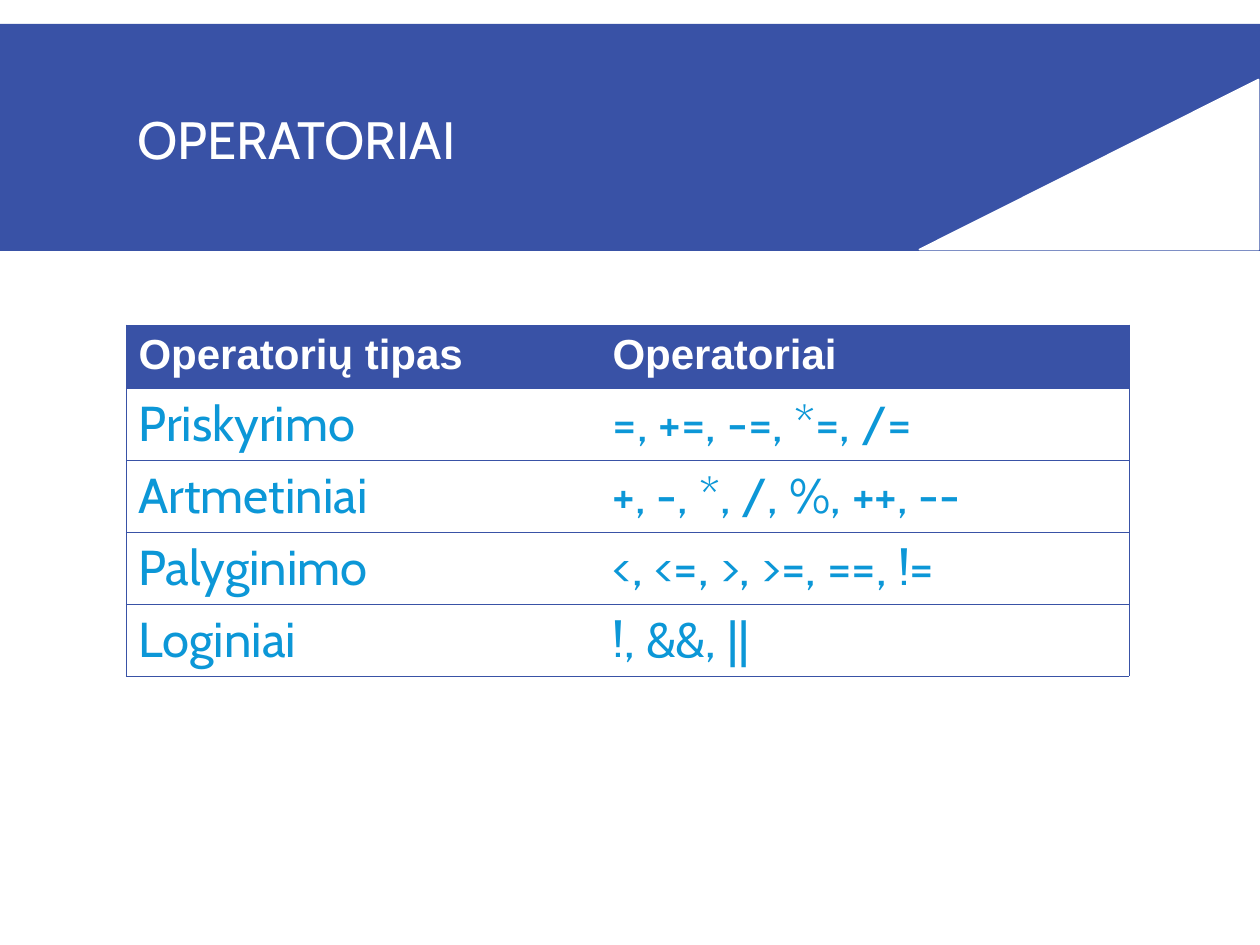
from lxml.etree import SubElement
from pptx import Presentation
from pptx.dml.color import RGBColor
from pptx.enum.shapes import MSO_SHAPE
from pptx.enum.text import MSO_ANCHOR
from pptx.oxml.ns import qn
from pptx.util import Emu, Pt

PX = 914400 // 126
INDIGO = RGBColor(0x39, 0x52, 0xA6)
SKY = RGBColor(0x0C, 0x97, 0xD7)
WHITE = RGBColor(0xFF, 0xFF, 0xFF)

OPERATORS = [
    ("Operatorių tipas", "Operatoriai"),
    ("Priskyrimo", "=, +=, -=, *=, /="),
    ("Artmetiniai", "+, -, *, /, %, ++, --"),
    ("Palyginimo", "<, <=, >, >=, ==, !="),
    ("Loginiai", "!, &&, ||"),
]


def px(*lengths):
    return [Emu(length * PX) for length in lengths]


def add_run(paragraph, text, size, font, color, bold=False):
    run = paragraph.add_run()
    run.text = text
    run.font.size = Pt(size)
    run.font.name = font
    run.font.bold = bold
    run.font.color.rgb = color


def add_block(slide, kind, box, color):
    block = slide.shapes.add_shape(kind, *px(*box))
    block.shadow.inherit = False
    block.fill.solid()
    block.fill.fore_color.rgb = color
    block.line.fill.background()
    return block


def add_header(slide, left, top, width, height):
    """Coloured band with the title and a white corner at bottom right."""
    add_block(slide, MSO_SHAPE.RECTANGLE, (left, top, width, height), INDIGO)

    title = slide.shapes.add_textbox(*px(left + 125, top + 15, 1012, 208)).text_frame
    title.word_wrap = True
    title.vertical_anchor = MSO_ANCHOR.MIDDLE
    title.paragraphs[0].line_spacing = 0.85
    add_run(title.paragraphs[0], "OPERATORIAI", 30, "Cabin", WHITE)

    # The corner spans run x rise once it is turned on its side.
    run, rise = 339, 170
    center_x = left + width - 1 - run / 2
    center_y = top + height - 2 - rise / 2
    corner_box = (int(center_x - rise / 2), int(center_y - run / 2), rise, run)
    corner = add_block(slide, MSO_SHAPE.RIGHT_TRIANGLE, corner_box, WHITE)
    corner.rotation = 270
    corner.line.color.rgb = WHITE
    corner.line.width = Pt(1)


def set_borders(cell, drawn):
    """Draw the sides named in drawn (from L, R, T, B) and clear the others."""
    properties = cell._tc.get_or_add_tcPr()
    for side in "LRTB":
        border = SubElement(properties, qn(f"a:ln{side}"), w=str(Pt(0.34)))
        if side in drawn:
            fill = SubElement(border, qn("a:solidFill"))
            SubElement(fill, qn("a:srgbClr"), val=str(INDIGO))
        else:
            SubElement(border, qn("a:noFill"))


def add_operator_table(slide, left, top, column_widths, row_heights):
    frame = slide.shapes.add_table(
        len(row_heights), len(column_widths),
        *px(left, top, sum(column_widths), sum(row_heights)))
    table = frame.table
    for column, width in zip(table.columns, px(*column_widths)):
        column.width = width
    for row, height in zip(table.rows, px(*row_heights)):
        row.height = height

    for row_index, entries in enumerate(OPERATORS):
        for column_index, entry in enumerate(entries):
            cell = table.cell(row_index, column_index)
            set_borders(cell, "TB" + "LR"[column_index])
            paragraph = cell.text_frame.paragraphs[0]
            if row_index == 0:
                cell.fill.solid()
                cell.fill.fore_color.rgb = INDIGO
                add_run(paragraph, entry, 24, "Arial", WHITE, bold=True)
            else:
                cell.fill.background()
                add_run(paragraph, entry, 28, "Cabin", SKY)


def main():
    deck = Presentation()
    deck.slide_width, deck.slide_height = px(1260, 945)
    slide = deck.slides.add_slide(deck.slide_layouts[6])
    add_header(slide, 0, 24, 1260, 227)
    add_operator_table(slide, 126, 325, (474, 529), (63, 72, 72, 72, 72))
    deck.save("out.pptx")


if __name__ == "__main__":
    main()
